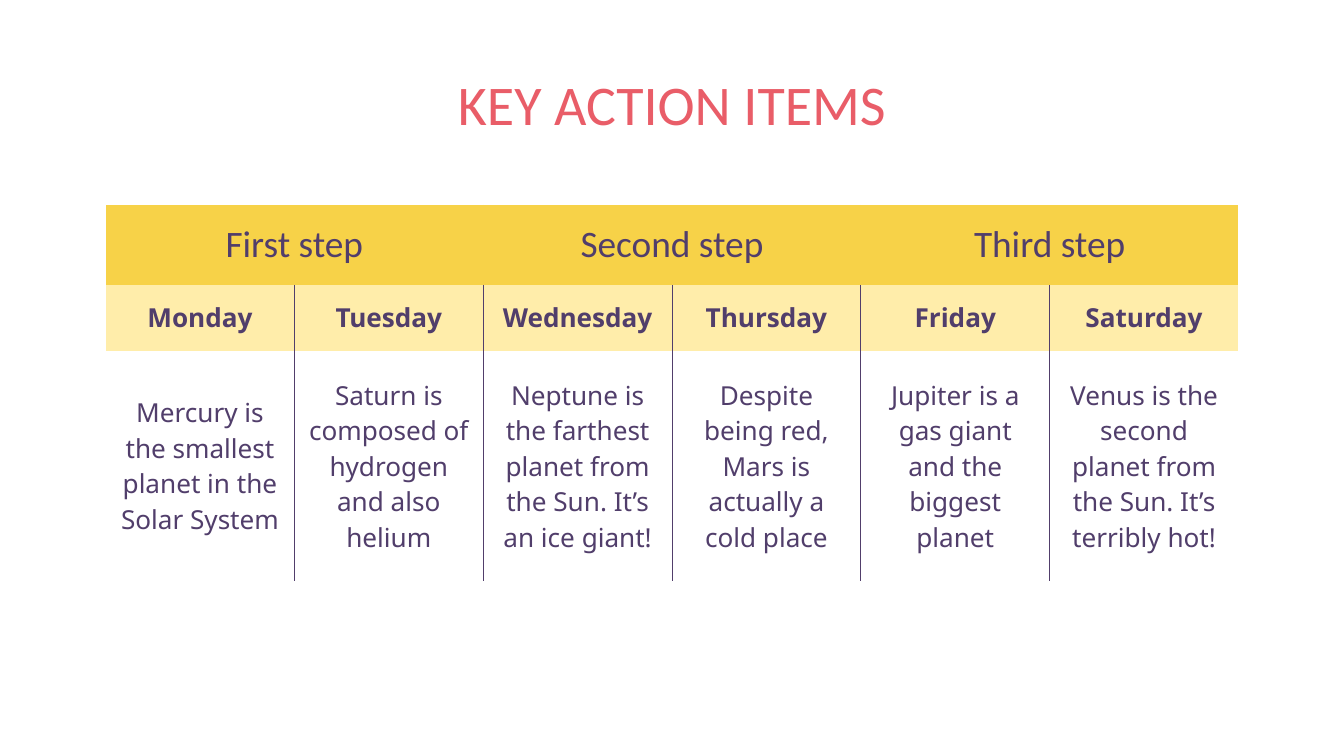
from dataclasses import dataclass
from typing import Optional

from lxml.etree import SubElement
from pptx import Presentation
from pptx.dml.color import RGBColor as RGB
from pptx.enum.text import MSO_ANCHOR as Anchor, MSO_AUTO_SIZE as AutoSize, PP_ALIGN as Align
from pptx.oxml import parse_xml
from pptx.oxml.ns import nsdecls, qn
from pptx.util import Inches, Pt


@dataclass(frozen=True)
class Theme:
    coral: str = "E95D68"
    plum: str = "513E6B"
    gold: str = "F7D248"
    cream: str = "FFEDAA"
    heading_font: str = "Calibri"
    body_font: str = "Noto Sans"
    title_size: int = 60
    step_size: int = 40
    body_size: int = 28
    rule_width: float = 0.75
    inset: float = 0.2


@dataclass(frozen=True)
class Day:
    name: str
    action: str


@dataclass(frozen=True)
class Step:
    name: str
    days: tuple[Day, ...]


THEME = Theme()
NO_GRID_STYLE = "{2D5ABB26-0587-4C30-8999-92F81FD0307C}"
LEFT, TOP, WIDTH = 1.57, 3.05, 16.86
ROW_HEIGHTS = (1.19, 0.98, 3.43)

STEPS = (
    Step("First step", (
        Day("Monday", "Mercury is the smallest planet in the Solar System"),
        Day("Tuesday", "Saturn is composed of hydrogen and also helium"),
    )),
    Step("Second step", (
        Day("Wednesday", "Neptune is the farthest planet from the Sun. It’s an ice giant!"),
        Day("Thursday", "Despite being red, Mars is actually a cold place"),
    )),
    Step("Third step", (
        Day("Friday", "Jupiter is a gas giant and the biggest planet"),
        Day("Saturday", "Venus is the second planet from the Sun. It’s terribly hot!"),
    )),
)


def write(frame, text: str, *, font: str, size: int, color: str, bold: bool = False) -> None:
    """Fill a text frame with one centred, formatted paragraph."""
    paragraph = frame.paragraphs[0]
    paragraph.alignment = Align.CENTER
    run = paragraph.add_run()
    run.text = text
    run.font.name, run.font.size, run.font.bold = font, Pt(size), bold
    run.font.color.rgb = RGB.from_string(color)


def set_insets(holder) -> None:
    holder.margin_left = holder.margin_right = Inches(THEME.inset)
    holder.margin_top = holder.margin_bottom = Inches(THEME.inset)


def add_side_rule(cell, side: str, color: str) -> None:
    """Draw a vertical rule on side L or R; add R before L to keep the order."""
    rule = parse_xml(f'<a:ln{side} {nsdecls("a")} w="{Pt(THEME.rule_width)}"/>')
    fill = SubElement(rule, qn("a:solidFill"))
    SubElement(fill, qn("a:srgbClr"), val=color)
    cell._tc.get_or_add_tcPr().insert(0, rule)


def fill_cell(cell, text: str, *, fill: Optional[str], rule: str, first: bool, last: bool,
              **text_format) -> None:
    cell.vertical_anchor = Anchor.MIDDLE
    set_insets(cell)
    write(cell.text_frame, text, **text_format)
    if fill:
        cell.fill.solid()
        cell.fill.fore_color.rgb = RGB.from_string(fill)
    else:
        cell.fill.background()
    if not last:
        add_side_rule(cell, "R", rule)
    if not first:
        add_side_rule(cell, "L", rule)


def add_title(slide, text: str) -> None:
    title = slide.shapes.title
    title.left, title.top = Inches(LEFT), Inches(0.83)
    title.width, title.height = Inches(WIDTH), Inches(1.06)
    frame = title.text_frame
    frame.auto_size, frame.word_wrap = AutoSize.NONE, True
    frame.vertical_anchor = Anchor.TOP
    set_insets(frame)
    write(frame, text, font=THEME.heading_font, size=THEME.title_size, color=THEME.coral)


def add_schedule(slide, steps: tuple[Step, ...]) -> None:
    days = [day for step in steps for day in step.days]
    schedule = slide.shapes.add_table(
        len(ROW_HEIGHTS), len(days), Inches(LEFT), Inches(TOP),
        Inches(WIDTH), Inches(sum(ROW_HEIGHTS))).table
    schedule.first_row = schedule.horz_banding = False
    schedule._tbl.tblPr.find(qn("a:tableStyleId")).text = NO_GRID_STYLE
    for row, height in zip(schedule.rows, ROW_HEIGHTS):
        row.height = Inches(height)

    # Step headings, each merged across its days
    column = 0
    for step in steps:
        end = column + len(step.days)
        heading = schedule.cell(0, column)
        heading.merge(schedule.cell(0, end - 1))
        fill_cell(heading, step.name, fill=THEME.gold, rule=THEME.gold,
                  first=column == 0, last=end == len(days),
                  font=THEME.heading_font, size=THEME.step_size, color=THEME.plum)
        column = end

    # Day names and their actions
    for column, day in enumerate(days):
        for row, text, fill in ((1, day.name, THEME.cream), (2, day.action, None)):
            fill_cell(schedule.cell(row, column), text, fill=fill, rule=THEME.plum,
                      first=column == 0, last=column == len(days) - 1,
                      font=THEME.body_font, size=THEME.body_size, color=THEME.plum,
                      bold=row == 1)


def main() -> None:
    deck = Presentation()
    deck.slide_width, deck.slide_height = Inches(20), Inches(11.25)
    slide = deck.slides.add_slide(deck.slide_layouts[5])
    add_title(slide, "KEY ACTION ITEMS")
    add_schedule(slide, STEPS)
    deck.save("out.pptx")


if __name__ == "__main__":
    main()
